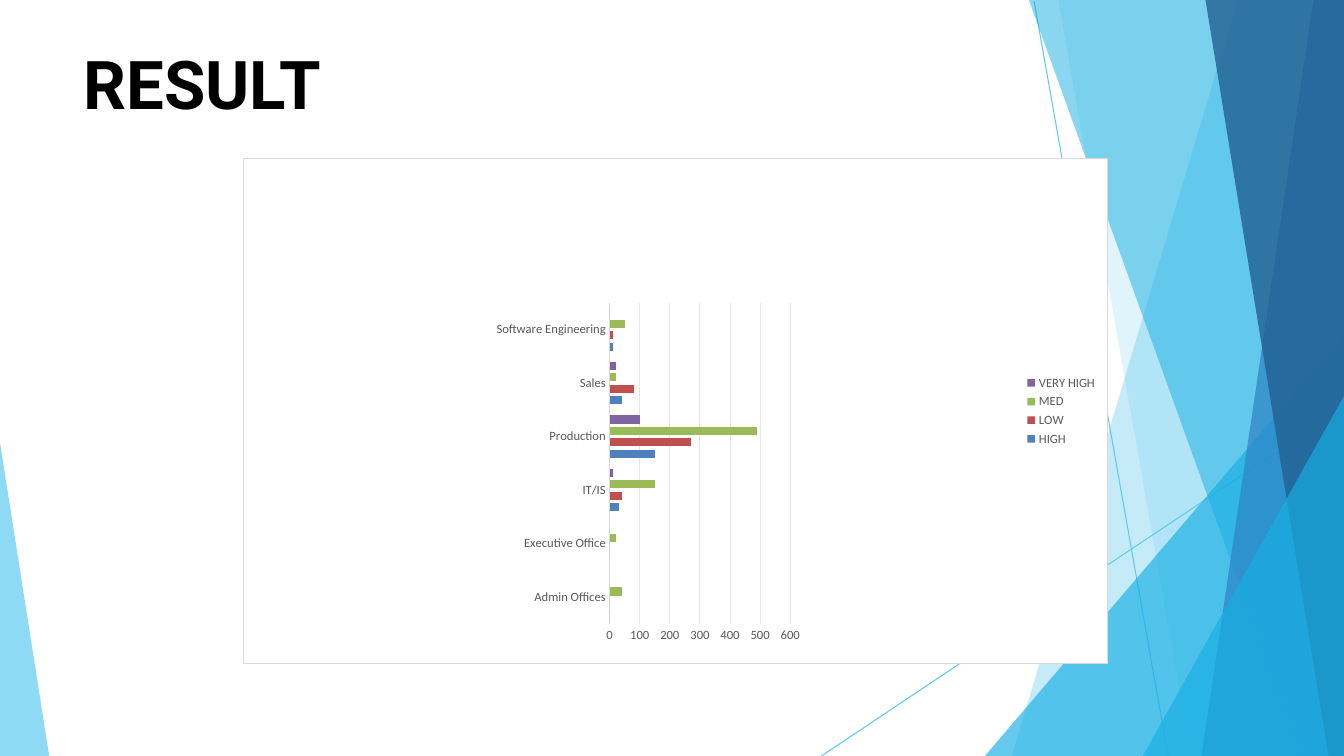
from dataclasses import dataclass

from lxml.etree import SubElement
from pptx import Presentation
from pptx.chart.data import CategoryChartData as Data
from pptx.dml.color import RGBColor as Rgb
from pptx.enum.chart import XL_CHART_TYPE as Kind
from pptx.enum.chart import XL_LEGEND_POSITION as Side
from pptx.enum.chart import XL_TICK_MARK as Tick
from pptx.enum.shapes import MSO_CONNECTOR as Link
from pptx.enum.text import MSO_ANCHOR as Anchor
from pptx.enum.text import MSO_AUTO_SIZE as Fit
from pptx.enum.text import PP_ALIGN as Align
from pptx.oxml import parse_xml
from pptx.oxml.ns import nsdecls, qn
from pptx.util import Cm, Pt


@dataclass(frozen=True)
class Theme:
    head: str = "Roboto"
    body: str = "Calibri"
    big: int = 48
    small: int = 9
    hair: float = 0.75
    ink: str = "000000"
    gray: str = "595959"
    rim: str = "D9D9D9"
    grid: str = "E6E6E6"
    paper: str = "FFFFFF"
    sky: str = "5FCAEE"
    cyan: str = "17AFE3"
    blue: str = "2D83C3"
    navy: str = "226192"
    bars: tuple = ("4F81BD", "C0504D", "9BBB59", "8064A2")


T = Theme()
WIDE, HIGH = 33.87, 19.05

# edge, top y, top x, bottom x, colour, opacity in percent
FACETS = (
    (WIDE, 0, 31.19, 25.5, T.sky, 36),
    (WIDE, 0, 26.67, 30.02, T.sky, 20),
    (WIDE, 8.46, WIDE, 24.82, T.cyan, 66),
    (WIDE, 0, 25.93, 32.79, T.cyan, 50),
    (WIDE, 0, 33.1, 30.28, T.blue, 70),
    (WIDE, 0, 30.38, 33.48, T.navy, 80),
    (WIDE, 9.98, WIDE, 28.8, T.cyan, 66),
    (0, 11.15, 0, 1.24, T.sky, 70),
)
RAYS = ((26.06, 0.03, 29.44, HIGH), (WIDE, 10.26, 20.7, HIGH))

GROUPS = ("Admin Offices", "Executive Office", "IT/IS", "Production",
          "Sales", "Software Engineering")
LEVELS = {
    "HIGH": (0, None, 30, 150, 40, 10),
    "LOW": (0, 0, 40, 270, 80, 10),
    "MED": (40, 20, 150, 490, 20, 50),
    "VERY HIGH": (None, None, 10, 100, 20, 0),
}


def facet(slide, box, edge, y, top, foot, color, alpha):
    """Draw a clear panel from one side edge of the box down to its foot."""
    left, up, _, high = box
    spots = [(edge, y), (top, y), (foot, high), (edge, high)]
    spots = [(Cm(left + x), Cm(up + v)) for x, v in dict.fromkeys(spots)]
    pen = slide.shapes.build_freeform(*spots[0])
    pen.add_line_segments(spots[1:], close=True)
    shape = pen.convert_to_shape()
    shape.shadow.inherit = False
    shape.line.fill.background()
    shape.fill.solid()
    shape.fill.fore_color.rgb = Rgb.from_string(color)
    tint = shape.fill._xPr.find(qn("a:solidFill"))[0]
    SubElement(tint, qn("a:alpha"), val=str(alpha * 1000))


def stroke(line, color):
    line.color.rgb = Rgb.from_string(color)
    line.width = Pt(T.hair)


def backdrop(slide, box):
    left, top = box[:2]
    for x1, y1, x2, y2 in RAYS:
        ray = slide.shapes.add_connector(
            Link.STRAIGHT, Cm(left + x1), Cm(top + y1), Cm(left + x2), Cm(top + y2))
        stroke(ray.line, T.sky)
        SubElement(ray._element.spPr, qn("a:effectLst"))
    for part in FACETS:
        facet(slide, box, *part)


def style(font, name, size, color, bold=False):
    font.name, font.size, font.bold = name, Pt(size), bold
    font.color.rgb = Rgb.from_string(color)


def place(shape, box):
    shape.left, shape.top, shape.width, shape.height = map(Cm, box)


def heading(slide, box, text):
    """Fill the title and bring it in front of the backdrop."""
    title = slide.shapes.title
    place(title, box)
    slide.shapes._spTree.append(title._element)
    frame = title.text_frame
    frame.margin_left = frame.margin_right = 0
    frame.margin_top = frame.margin_bottom = 0
    frame.vertical_anchor = Anchor.TOP
    frame.word_wrap = True
    frame.auto_size = Fit.SHAPE_TO_FIT_TEXT
    para = frame.paragraphs[0]
    para.alignment = Align.LEFT
    run = para.add_run()
    run.text = text
    style(run.font, T.head, T.big, T.ink, True)


def panel(chart):
    """Give the chart a paper fill with a thin rim, and fix its plot area."""
    root = chart._chartSpace.find(qn("c:chart"))
    root.addnext(parse_xml(
        f'<c:spPr {nsdecls("c", "a")}>'
        f'<a:solidFill><a:srgbClr val="{T.paper}"/></a:solidFill>'
        f'<a:ln w="{Pt(T.hair)}"><a:solidFill><a:srgbClr val="{T.rim}"/>'
        '</a:solidFill></a:ln></c:spPr>'))
    plot = root.find(qn("c:plotArea"))
    for old in plot.findall(qn("c:layout")):
        plot.remove(old)
    layout = parse_xml(f'<c:layout {nsdecls("c")}/>')
    spot = SubElement(layout, qn("c:manualLayout"))
    for key, val in (("layoutTarget", "inner"), ("xMode", "edge"),
                     ("yMode", "edge"), ("x", "0.424"), ("y", "0.286"),
                     ("w", "0.209"), ("h", "0.636")):
        SubElement(spot, qn("c:" + key), val=val)
    plot.insert(0, layout)


def bars(slide, box):
    data = Data()
    data.categories = GROUPS
    for name, vals in LEVELS.items():
        data.add_series(name, vals)
    chart = slide.shapes.add_chart(Kind.BAR_CLUSTERED, *map(Cm, box), data).chart
    chart.has_title = False
    style(chart.font, T.body, T.small, T.gray)
    plot = chart.plots[0]
    plot.gap_width, plot.overlap = 140, -40
    plot.vary_by_categories = False
    for row, color in zip(plot.series, T.bars):
        row.format.fill.solid()
        row.format.fill.fore_color.rgb = Rgb.from_string(color)
        row.invert_if_negative = False
    names, scale = chart.category_axis, chart.value_axis
    for axis in (names, scale):
        axis.major_tick_mark = axis.minor_tick_mark = Tick.NONE
        style(axis.tick_labels.font, T.body, T.small, T.gray)
    stroke(names.format.line, T.rim)
    scale.format.line.fill.background()
    scale.minimum_scale, scale.maximum_scale, scale.major_unit = 0, 600, 100
    stroke(scale.major_gridlines.format.line, T.grid)
    chart.has_legend = True
    chart.legend.position = Side.RIGHT
    chart.legend.include_in_layout = False
    style(chart.legend.font, T.body, T.small, T.gray)
    panel(chart)


def main():
    deck = Presentation()
    deck.slide_width, deck.slide_height = Cm(WIDE), Cm(HIGH)
    slide = deck.slides.add_slide(deck.slide_layouts[5])
    backdrop(slide, (0, 0, WIDE, HIGH))
    heading(slide, (2.11, 1.07, 29.67, 2.06), "RESULT")
    bars(slide, (6.12, 3.98, 21.8, 12.75))
    deck.save("out.pptx")


if __name__ == "__main__":
    main()
